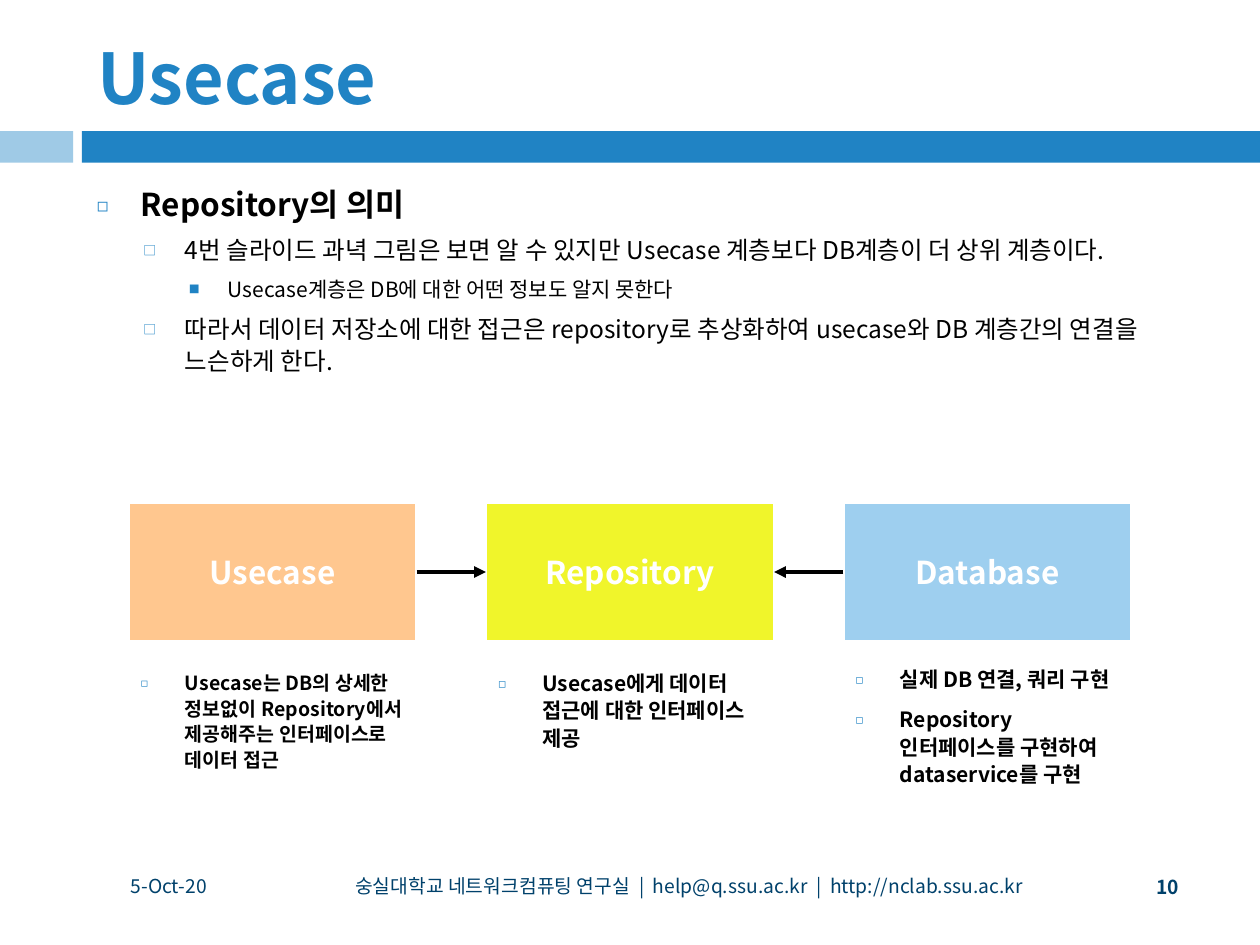
from lxml.etree import SubElement
from pptx import Presentation
from pptx.dml.color import RGBColor
from pptx.enum.shapes import MSO_CONNECTOR as Connector, MSO_SHAPE as Shape
from pptx.enum.text import MSO_ANCHOR as Anchor, MSO_AUTO_SIZE as AutoSize, PP_ALIGN as Align
from pptx.oxml.ns import qn
from pptx.util import Inches, Pt

FONT = "Noto Sans CJK KR"
COLORS = {
    "blue": "2083C4", "pale_blue": "9FCAE6", "navy": "00416B",
    "black": "000000", "white": "FFFFFF",
    "orange": "FFC78F", "yellow": "F0F52B", "sky": "9ECFEF",
}
# Outline level: size, bold, indent, hanging, space before, bullet, bullet percent
LEVELS = [
    (18, True, 0.35, 0.35, 7, "◻", 60),
    (14, False, 0.7, 0.33, 5.5, "□", 52),
    (12, False, 1.04, 0.31, 5, "■", 52),
]
OUTLINE = [
    (0, "Repository의 의미"),
    (1, "4번 슬라이드 과녁 그림은 보면 알 수 있지만 Usecase 계층보다 DB계층이 더 상위 계층이다."),
    (2, "Usecase계층은 DB에 대한 어떤 정보도 알지 못한다"),
    (1, "따라서 데이터 저장소에 대한 접근은 repository로 추상화하여 usecase와 DB 계층간의 연결을 느슨하게 한다."),
]
# Layer: name, fill, top and height of its notes, note size, notes
LAYERS = [
    ("Usecase", "orange", 5.26, 1.1, 11.1,
     ["Usecase는 DB의 상세한 정보없이 Repository에서 제공해주는 인터페이스로 데이터 접근"]),
    ("Repository", "yellow", 5.25, 0.89, 12,
     ["Usecase에게 데이터 접근에 대한 인터페이스 제공"]),
    ("Database", "sky", 5.22, 1.21, 12,
     ["실제 DB 연결, 쿼리 구현",
      "Repository 인터페이스를 구현하여 dataservice를 구현"]),
]
FOOTER = [
    ("5-Oct-20", (0.67, 6.83, 1.34, 0.4), False),
    ("숭실대학교 네트워크컴퓨팅 연구실  |  help@q.ssu.ac.kr  |  http://nclab.ssu.ac.kr",
     (2.08, 6.83, 6.78, 0.4), False),
    ("10", (8.94, 6.84, 0.65, 0.39), True),
]


def color(name):
    return RGBColor.from_string(COLORS[name])


def inches(box):
    return [Inches(length) for length in box]


def style(para, size, color_name, bold=False, align=Align.LEFT):
    """Format the runs of a paragraph, Latin and East Asian alike, without kerning."""
    para.alignment = align
    for span in para.runs:
        span.font.size = Pt(size)
        span.font.bold = bold
        span.font.color.rgb = color(color_name)
        span.font.name = FONT
        props = span.font._element
        props.set("kern", "0")
        SubElement(props, qn("a:ea"), typeface=FONT)


def add_bullet(para, indent, hanging, mark, percent):
    props = para._p.get_or_add_pPr()
    props.set("marL", str(Inches(indent)))
    props.set("indent", str(-Inches(hanging)))
    tint = SubElement(props, qn("a:buClr"))
    SubElement(tint, qn("a:srgbClr"), val=COLORS["blue"])
    SubElement(props, qn("a:buSzPct"), val=str(percent * 1000))
    SubElement(props, qn("a:buFont"), typeface=FONT)
    SubElement(props, qn("a:buChar"), char=mark)


def add_text_frame(slide, box):
    frame = slide.shapes.add_textbox(*inches(box)).text_frame
    frame.word_wrap = True
    return frame


def add_outline(slide, box, items, top_size=None):
    """Bulleted list of (level, text); top_size overrides the first level's size."""
    frame = add_text_frame(slide, box)
    for index, (level, text) in enumerate(items):
        size, bold, indent, hanging, before, mark, percent = LEVELS[level]
        para = frame.add_paragraph() if index else frame.paragraphs[0]
        para.text = text
        para.level = level
        para.line_spacing = 1.1
        para.space_before = Pt(before)
        style(para, top_size or size, "black", bold)
        add_bullet(para, indent, hanging, mark, percent)


def add_block(slide, box, fill):
    block = slide.shapes.add_shape(Shape.RECTANGLE, *inches(box))
    block.shadow.inherit = False
    block.fill.solid()
    block.fill.fore_color.rgb = color(fill)
    block.line.fill.background()
    return block


def add_header(slide, box):
    title = slide.shapes.title
    title.left, title.top, title.width, title.height = inches(box)
    frame = title.text_frame
    frame.text = "Usecase"
    frame.auto_size = AutoSize.NONE
    frame.vertical_anchor = Anchor.MIDDLE
    style(frame.paragraphs[0], 40, "blue", True)
    add_block(slide, (0, 1.04, 0.58, 0.25), "pale_blue")
    add_block(slide, (0.65, 1.04, 9.35, 0.25), "blue")


def add_layer_box(slide, box, name, fill):
    block = add_block(slide, box, fill)
    block.line.color.rgb = color("white")
    block.line.width = Pt(1.5)
    frame = block.text_frame
    frame.text = name
    frame.vertical_anchor = Anchor.MIDDLE
    style(frame.paragraphs[0], 18, "white", True, Align.CENTER)
    return block


def add_arrow(slide, start, start_side, end, end_side):
    arrow = slide.shapes.add_connector(Connector.STRAIGHT, 0, 0, 0, 0)
    arrow.begin_connect(start, start_side)
    arrow.end_connect(end, end_side)
    arrow.line.color.rgb = color("black")
    arrow.line.width = Pt(2.25)
    SubElement(arrow.line._get_or_add_ln(), qn("a:tailEnd"), type="triangle")
    SubElement(arrow._element.spPr, qn("a:effectLst"))


def add_layers(slide, box, gap):
    """Row of layer boxes with notes below, both outer ones pointing to the middle."""
    left, top, width, height = box
    box_width = (width - gap * (len(LAYERS) - 1)) / len(LAYERS)
    blocks = []
    for index, (name, fill, note_top, note_height, size, notes) in enumerate(LAYERS):
        x = left + index * (box_width + gap)
        blocks.append(add_layer_box(slide, (x, top, box_width, height), name, fill))
        add_outline(slide, (x, note_top, box_width, note_height),
                    [(0, note) for note in notes], size)
    usecase, repository, database = blocks
    add_arrow(slide, usecase, 3, repository, 1)
    add_arrow(slide, database, 1, repository, 3)


def add_footer(slide):
    for text, box, bold in FOOTER:
        frame = add_text_frame(slide, box)
        frame.vertical_anchor = Anchor.MIDDLE
        frame.text = text
        para = frame.paragraphs[0]
        para.space_after = Pt(6)
        style(para, 11, "navy", bold, Align.CENTER)


def main():
    deck = Presentation()
    deck.slide_width, deck.slide_height = Inches(10), Inches(7.5)
    slide = deck.slides.add_slide(deck.slide_layouts[5])
    add_header(slide, (0.67, 0.21, 8.92, 0.79))
    add_outline(slide, (0.67, 1.39, 8.9, 2.68), OUTLINE)
    add_layers(slide, (1.02, 3.99, 7.96, 1.1), 0.55)
    add_footer(slide)
    deck.save("out.pptx")


if __name__ == "__main__":
    main()
